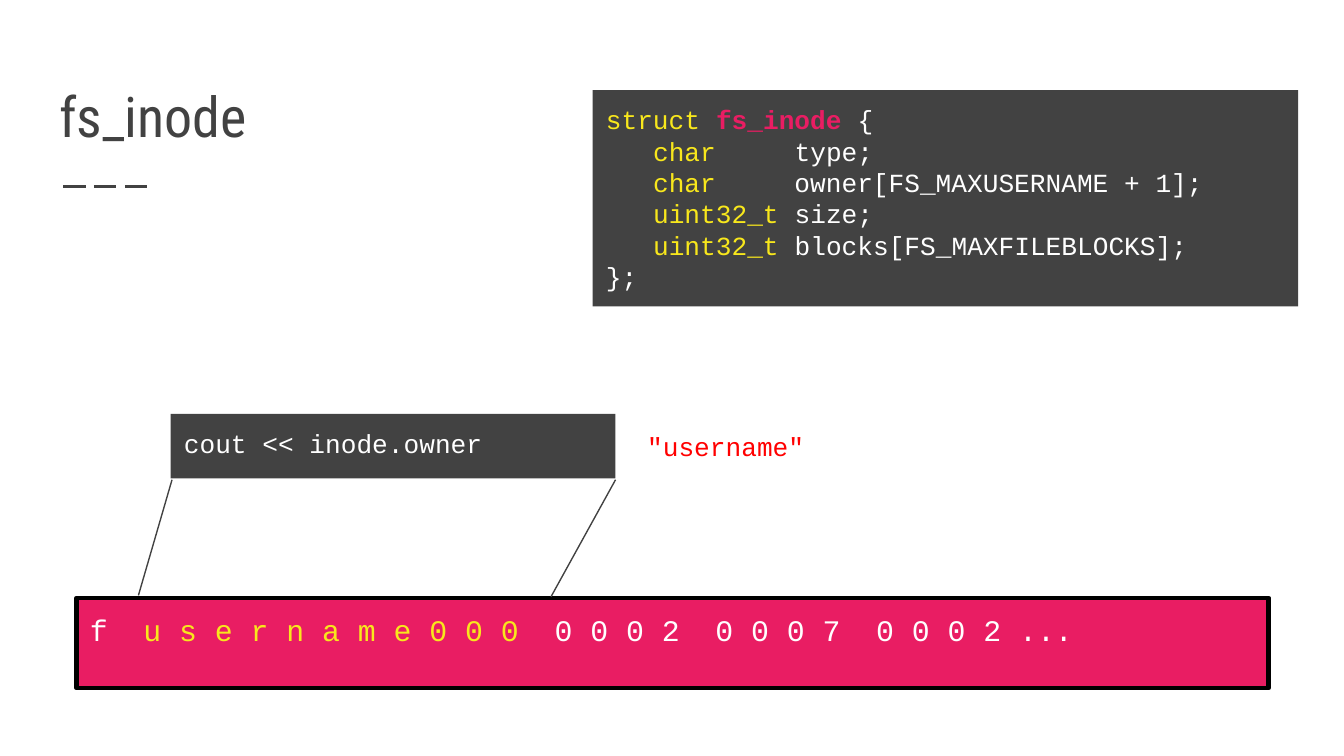
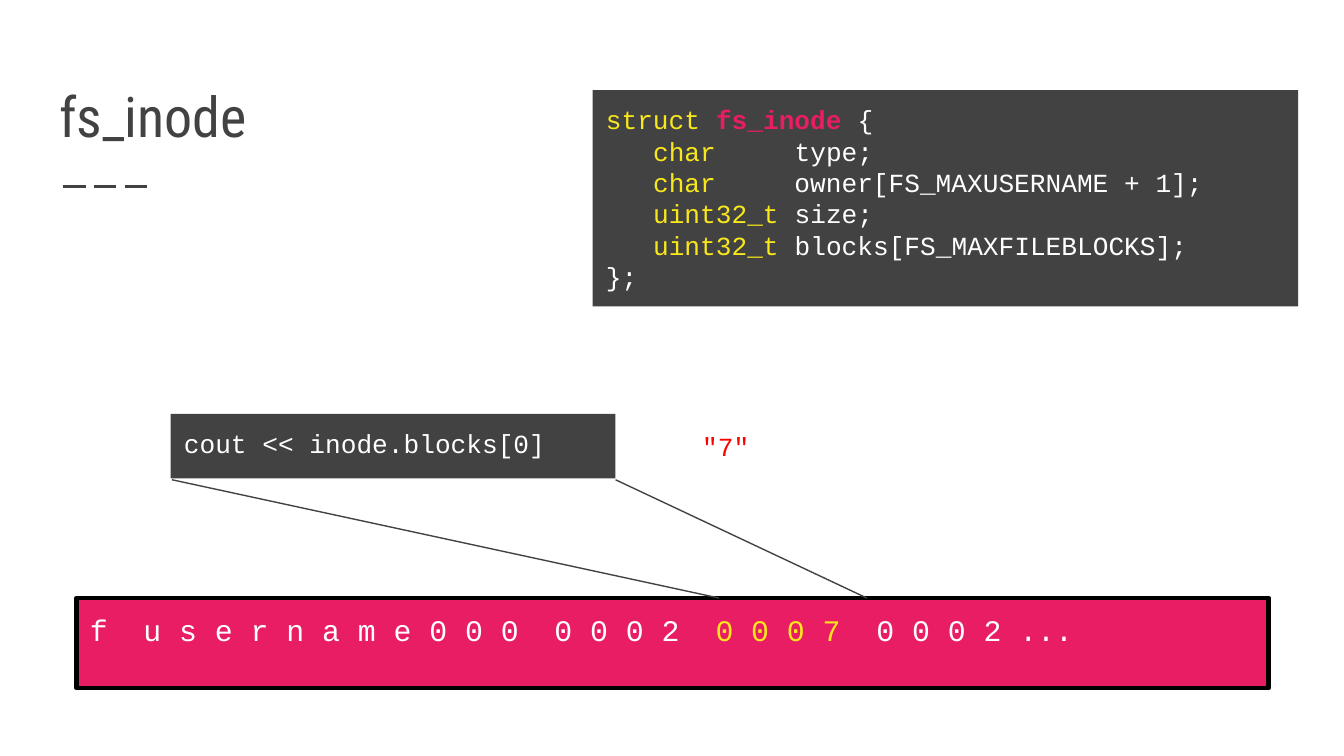
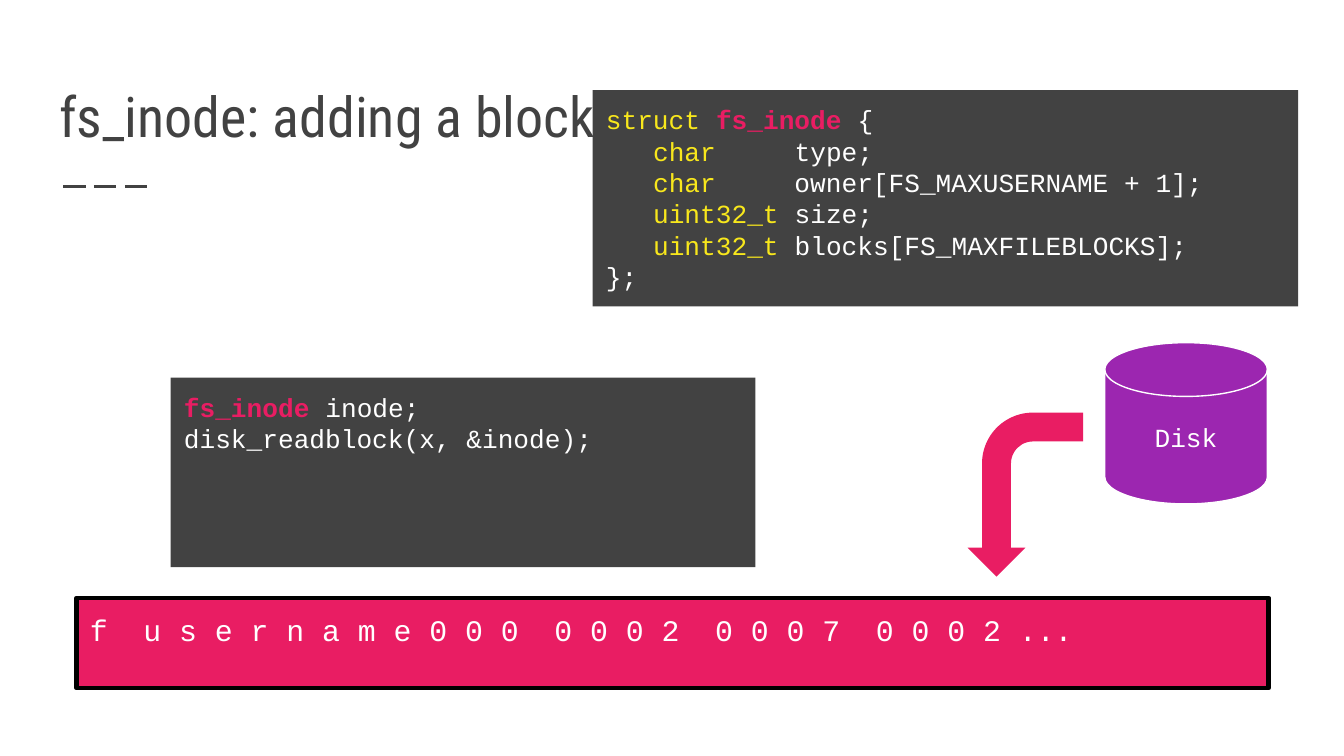
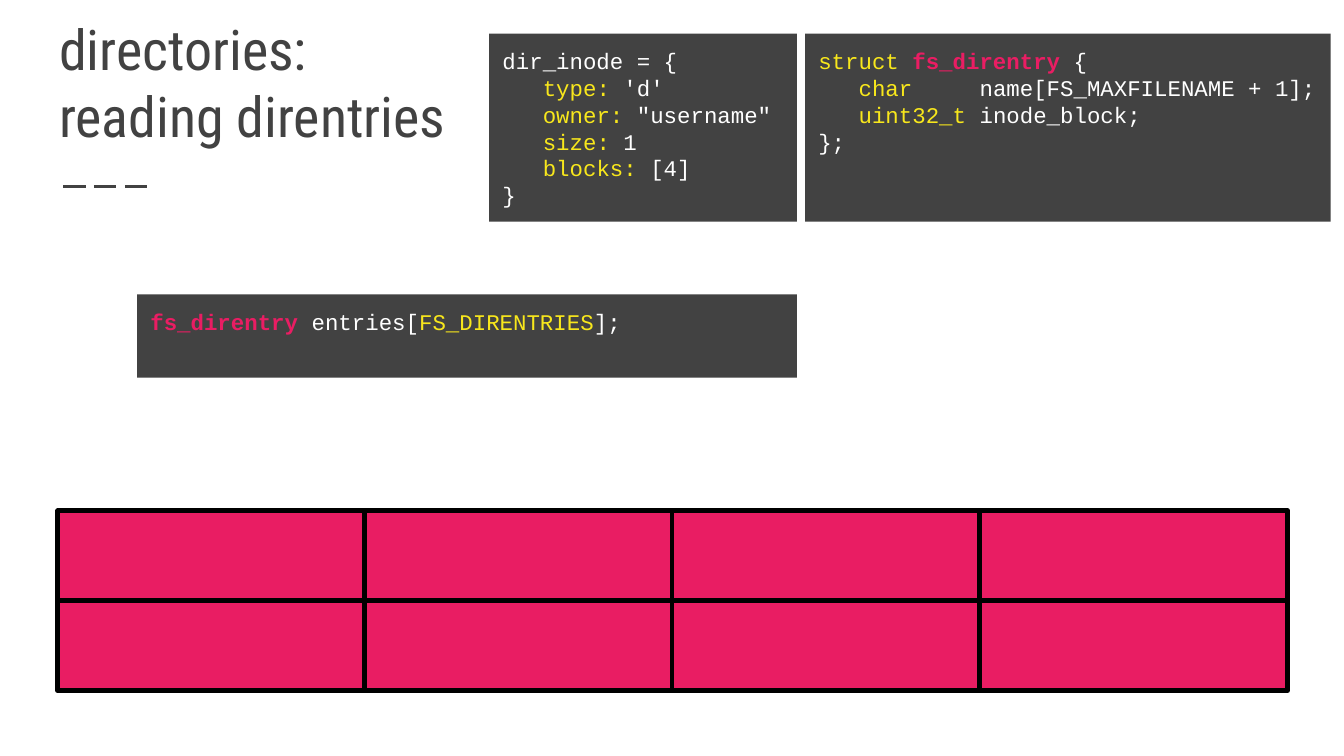
from collections import namedtuple
from dataclasses import dataclass

from lxml.etree import SubElement
from pptx import Presentation
from pptx.dml.color import RGBColor
from pptx.enum.dml import MSO_LINE_DASH_STYLE as Dash
from pptx.enum.shapes import MSO_CONNECTOR as Connector, MSO_SHAPE as Shape
from pptx.enum.text import MSO_ANCHOR as Anchor, MSO_AUTO_SIZE as AutoSize, PP_ALIGN as Align
from pptx.oxml.ns import qn
from pptx.util import Emu, Pt

PX = 9144  # one hundredth of an inch
PAGE_WIDTH = 1000


@dataclass(frozen=True)
class Theme:
    dark: str = "424242"
    white: str = "FFFFFF"
    yellow: str = "F8E71C"
    pink: str = "E91D63"
    purple: str = "9C26B0"
    red: str = "FF0000"
    black: str = "000000"
    title_font: str = "Roboto Condensed"
    code_font: str = "Courier New"
    title_size: int = 30
    record_size: int = 16
    code_size: int = 14
    small_size: int = 12
    thin: float = 0.75
    dash: float = 1.5
    thick: float = 2.5


theme = Theme()
WHITE, YELLOW, PINK = theme.white, theme.yellow, theme.pink

Block = namedtuple(
    "Block", "place fill lines size edge kind align anchor",
    defaults=(theme.code_size, None, Shape.RECTANGLE, Align.LEFT, Anchor.TOP))
Slide = namedtuple("Slide", "title blocks links", defaults=((),))


def write(frame, lines, font, size, align=Align.LEFT, anchor=Anchor.TOP):
    """Fill a text frame with lines made of (text, colour) spans; pink code is bold."""
    frame.word_wrap = True
    frame.auto_size = AutoSize.NONE
    frame.vertical_anchor = anchor
    frame.margin_left = frame.margin_right = Emu(10 * PX)
    frame.margin_top = frame.margin_bottom = Emu(10 * PX)
    for number, line in enumerate(lines):
        para = frame.add_paragraph() if number else frame.paragraphs[0]
        para.alignment = align
        for text, colour in line:
            span = para.add_run()
            span.text = text
            span.font.name = font
            span.font.size = Pt(size)
            span.font.bold = colour == PINK
            span.font.color.rgb = RGBColor.from_string(colour)


def add_rule(page, ends, width):
    rule = page.shapes.add_connector(Connector.STRAIGHT, *[Emu(end * PX) for end in ends])
    rule.line.color.rgb = RGBColor.from_string(theme.dark)
    rule.line.width = Pt(width)
    SubElement(rule.element.spPr, qn("a:effectLst"))
    return rule


# Content shared by several slides
inode_struct = Block((441, 67, 525, 161), theme.dark, [
    [("struct ", YELLOW), ("fs_inode ", PINK), ("{", WHITE)],
    [("   ", WHITE), ("char     ", YELLOW), ("type;", WHITE)],
    [("   ", WHITE), ("char ", YELLOW), ("    owner[FS_MAXUSERNAME + 1];", WHITE)],
    [("   ", WHITE), ("uint32_t ", YELLOW), ("size;", WHITE)],
    [("   ", WHITE), ("uint32_t ", YELLOW), ("blocks[FS_MAXFILEBLOCKS];", WHITE)],
    [("};", WHITE)],
])
record = Block((57, 445, 887, 67), PINK, [], theme.record_size, theme.thick)
statement = Block((127, 308, 331, 48), theme.dark, [])
output = Block((459, 310, 162, 44), None, [], kind=None, align=Align.CENTER)

# Directory entries: four columns and two rows, three column steps spanning 686 px
ENTRY_LEFT, ENTRY_TOP, ENTRY_WIDTH, ENTRY_HEIGHT = 43, 380, 229, 67
entries = [
    Block((ENTRY_LEFT + column * 686 // 3, ENTRY_TOP + row * ENTRY_HEIGHT,
           ENTRY_WIDTH, ENTRY_HEIGHT), PINK, [], edge=theme.thick)
    for row in range(2) for column in range(4)
]

slides = [
    Slide(["fs_inode"], [
        inode_struct,
        record._replace(lines=[[("f  ", WHITE), ("u s e r n a m e 0 0 0", YELLOW),
                                ("  0 0 0 2  0 0 0 7  0 0 0 2 ...", WHITE)]]),
        statement._replace(lines=[[("cout << inode.owner", WHITE)]]),
        output._replace(lines=[[('"username"', theme.red)]]),
    ], [(128, 357, 103, 443), (458, 357, 410, 444)]),
    Slide(["fs_inode"], [
        inode_struct,
        record._replace(lines=[[("f  u s e r n a m e 0 0 0  0 0 0 2  ", WHITE),
                                ("0 0 0 7", YELLOW), ("  0 0 0 2 ...", WHITE)]]),
        statement._replace(lines=[[("cout << inode.blocks[0]", WHITE)]]),
        output._replace(lines=[[('"7"', theme.red)]]),
    ], [(128, 357, 535, 445), (458, 357, 645, 445)]),
    Slide(["fs_inode: adding a block"], [
        inode_struct,
        record._replace(
            lines=[[("f  u s e r n a m e 0 0 0  0 0 0 2  0 0 0 7  0 0 0 2 ...", WHITE)]]),
        Block((822, 255, 121, 120), theme.purple, [[("Disk", WHITE)]], edge=theme.thin,
              kind=Shape.FLOWCHART_MAGNETIC_DISK, align=Align.CENTER, anchor=Anchor.MIDDLE),
        Block((702, 325, 122, 86), PINK, [], kind=Shape.BENT_ARROW),
        Block((127, 281, 435, 141), theme.dark, [
            [("fs_inode", PINK), (" inode;", WHITE)],
            [("disk_readblock(x, &inode);", WHITE)],
        ]),
    ]),
    Slide(["directories:", "reading direntries"], [
        Block((364, 25, 229, 140), theme.dark, [
            [("dir_inode = {", WHITE)],
            *[[("   ", WHITE), (field, YELLOW), (value, WHITE)] for field, value in (
                ("type:", " 'd'"), ("owner:", ' "username"'),
                ("size:", " 1"), ("blocks:", " [4]"))],
            [("}", WHITE)],
        ], theme.small_size),
        Block((599, 25, 391, 140), theme.dark, [
            [("struct ", YELLOW), ("fs_direntry ", PINK), ("{", WHITE)],
            [("   ", WHITE), ("char     ", YELLOW), ("name[FS_MAXFILENAME + 1];", WHITE)],
            [("   ", WHITE), ("uint32_t ", YELLOW), ("inode_block;", WHITE)],
            [("};", WHITE)],
        ], theme.small_size),
        *entries,
        Block((102, 219, 491, 62), theme.dark, [
            [("fs_direntry ", PINK), ("entries[", WHITE),
             ("FS_DIRENTRIES", YELLOW), ("];", WHITE)],
        ], theme.small_size),
    ]),
]

deck = Presentation()
deck.slide_width = Emu(PAGE_WIDTH * PX)
deck.slide_height = Emu(PAGE_WIDTH * PX * 9 // 16)
layout = deck.slide_layouts.get_by_name("Title Only")
layout_title = layout.placeholders[0]
layout_title.left, layout_title.top = Emu(34 * PX), Emu(41 * PX)
layout_title.width, layout_title.height = Emu(932 * PX), Emu(80 * PX)

for slide in slides:
    page = deck.slides.add_slide(layout)
    write(page.shapes.title.text_frame, [[(line, theme.dark)] for line in slide.title],
          theme.title_font, theme.title_size, anchor=Anchor.BOTTOM)

    for block in slide.blocks:
        place = [Emu(length * PX) for length in block.place]
        if block.kind is None:
            box = page.shapes.add_textbox(*place)
        else:
            box = page.shapes.add_shape(block.kind, *place)
            box.shadow.inherit = False
            box.fill.solid()
            box.fill.fore_color.rgb = RGBColor.from_string(block.fill)
            if block.edge:
                edge_colour = theme.black if block.edge == theme.thick else WHITE
                box.line.color.rgb = RGBColor.from_string(edge_colour)
                box.line.width = Pt(block.edge)
            else:
                box.line.fill.background()
        if block.kind == Shape.BENT_ARROW:
            box.rotation = 270
            box.element.spPr.find(qn("a:xfrm")).set("flipH", "1")
            for index, amount in enumerate((0.25, 0.25, 0.25, 0.44)):
                box.adjustments[index] = amount
        if block.lines:
            write(box.text_frame, block.lines, theme.code_font, block.size,
                  block.align, block.anchor)

    for link in slide.links:
        add_rule(page, link, theme.thin)

# The dashes under the title belong to the layout, so every slide shows them
dashes = add_rule(deck.slides[0], (47, 139, 114, 139), theme.dash)
dashes.line.dash_style = Dash.LONG_DASH
layout.shapes.element.append(dashes.element)

deck.save("out.pptx")
